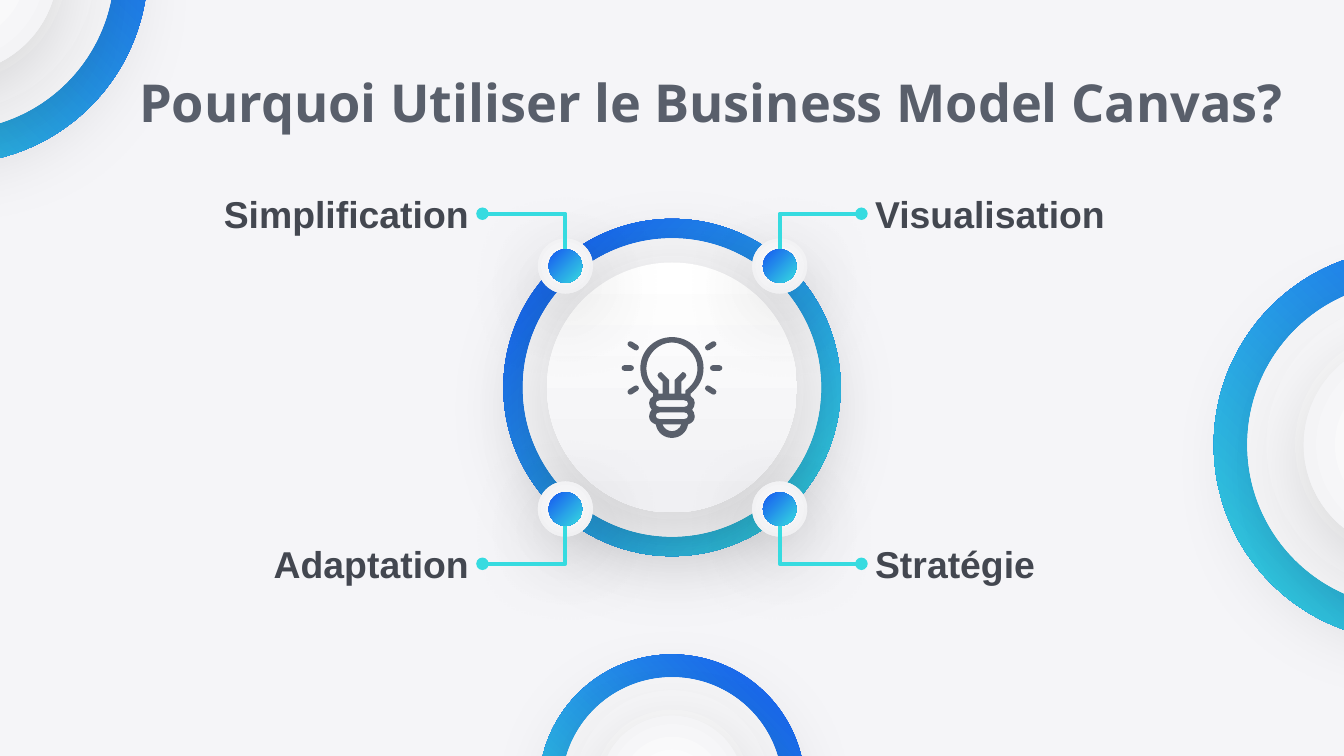
from math import atan2, cos, sin

from lxml import etree
from pptx import Presentation
from pptx.dml.color import RGBColor
from pptx.enum.shapes import MSO_CONNECTOR, MSO_SHAPE
from pptx.enum.text import MSO_ANCHOR, PP_ALIGN
from pptx.oxml import parse_xml
from pptx.oxml.ns import nsdecls, qn
from pptx.util import Pt

HEX = {"back": "F5F5F8", "blue": "1658F1", "cyan": "36DBE0", "white": "FFFFFF",
       "pale": "F0F0F3", "slate": "595F6B", "ink": "434750"}
RGB = {name: RGBColor.from_string(code) for name, code in HEX.items()}
NS = nsdecls("a")

deck = Presentation()
deck.slide_width, deck.slide_height = Pt(720), Pt(405)
slide = deck.slides.add_slide(deck.slide_layouts[6])
slide.background.fill.solid()
slide.background.fill.fore_color.rgb = RGB["back"]
shapes = slide.shapes


def write(text, left, top, width, height=29.5, size=20, font="Arial",
          color="ink", align=PP_ALIGN.LEFT):
    frame = shapes.add_textbox(Pt(left), Pt(top), Pt(width), Pt(height)).text_frame
    frame.word_wrap = True
    frame.vertical_anchor = MSO_ANCHOR.MIDDLE
    frame.margin_left = frame.margin_right = Pt(7.2)
    frame.margin_top = frame.margin_bottom = Pt(7.2)
    para = frame.paragraphs[0]
    para.alignment = align
    run = para.add_run()
    run.text = text
    run.font.size, run.font.name, run.font.bold = Pt(size), font, True
    run.font.color.rgb = RGB[color]


def disc(x, y, size, colors, angle=45, radial=False, shade=True, turn=0):
    """Draw a gradient circle centred at x, y."""
    oval = shapes.add_shape(MSO_SHAPE.OVAL, Pt(x - size / 2), Pt(y - size / 2),
                            Pt(size), Pt(size))
    oval.rotation = turn
    oval.line.fill.background()
    oval.fill.gradient()
    oval.fill.gradient_angle = 360 - angle
    for stop, color in zip(oval.fill.gradient_stops, colors):
        stop.color.rgb = RGB[color]
    oval.shadow.inherit = False
    props = oval.element.spPr
    if radial:
        grad = props.find(qn("a:gradFill"))
        grad.remove(grad.find(qn("a:lin")))
        grad.append(parse_xml(
            f'<a:path {NS} path="circle"><a:fillToRect l="50000" t="50000" '
            'r="50000" b="50000"/></a:path>'))
    if shade:
        props.find(qn("a:effectLst")).append(parse_xml(
            f'<a:outerShdw {NS} blurRad="{Pt(45)}" dist="{Pt(11.2)}" dir="5100000" '
            'algn="t" rotWithShape="0"><a:srgbClr val="000000">'
            '<a:alpha val="15000"/></a:srgbClr></a:outerShdw>'))


vivid, soft = ("blue", "cyan"), ("white", "pale")

# Rings at the slide edges
for x, y, sizes in [(-25.9, -17.3, (210.2, 174.2, 113.8)),
                    (755.3, 238.3, (210.2, 174.2, 113.8)),
                    (360, 421.9, (142.6, 118.1, 77))]:
    disc(x, y, sizes[0], vivid, shade=False, turn=90)
    for size in sizes[1:]:
        disc(x, y, size, soft, radial=True, turn=90)

# Title
write("Pourquoi Utiliser le Business Model Canvas?", 32.2, 39.6, 697, size=28,
      font="Open Sans", color="slate", align=PP_ALIGN.CENTER)

# Central ring
mid, hub = 360, 207.6
disc(mid, hub, 180.7, vivid, shade=False)
disc(mid, hub, 159.8, soft, radial=True)
disc(mid, hub, 133.9, soft, angle=90)

# Dots on the ring
axis = 360.3
for side in (1, -1):
    for down in (-1, 1):
        x, y = axis + 57.4 * side, hub + 65.1 * down
        disc(x, y, 29.5, soft, radial=True)
        disc(x, y, 18, vivid)

# Bulb: right halves in 1/100 inch; six numbers make a curve, two a line
halves = [
    [(0, 0), (13, 0, 23.5, 10, 23.5, 23), (23.5, 31, 20, 37, 14, 42), (14, 44),
     (16, 45, 17, 47, 17, 49), (17, 51, 16, 53, 15, 54), (16, 55, 17, 57, 17, 59),
     (17, 62, 15, 64, 12, 65), (11, 71, 6, 75, 0, 75)],
    [(0, 4), (10, 4, 19, 13, 19, 23), (19, 30, 16, 35, 11, 39),
     (10, 39, 10, 40, 10, 41), (10, 42), (7, 42), (7, 33), (10, 30),
     (11, 29, 11, 28, 10, 27), (10, 27, 9, 26, 8, 26), (7, 27), (3, 31), (2, 32),
     (2, 42)],
    [(7, 65), (6, 68, 3, 70, 0, 70)],
]
for top in (47, 56):
    halves.append([(9, top), (11, top, 12, top + 1, 12, top + 2.5),
                   (12, top + 4, 11, top + 5, 9, top + 5)])
bulb = []
for half in halves:
    dots = [(step[i], step[i + 1]) for step in half for i in range(0, len(step), 2)]
    kinds = [len(step) // 2 for step in half[1:]]
    back = [(-x, y) for x, y in reversed(dots)]
    if dots[-1][0] == 0:
        bulb.append((dots + back[1:], kinds + kinds[::-1]))
    else:
        bulb.append((dots + back, kinds + [1] + kinds[::-1]))

# Rays: round-ended bars on both sides
cap = [(0, -1), (0.55, -1), (1, -0.55), (1, 0), (1, 0.55), (0.55, 1), (0, 1)]
icon = [bulb]
for side in (-1, 1):
    for near, far in [((26.7, 7.9), (31, 5.2)), ((30.4, 23), (35.4, 23)),
                      ((26.7, 38.1), (31, 40.8))]:
        lean = atan2(far[1] - near[1], far[0] - near[0])
        c, s = 2.1 * cos(lean), 2.1 * sin(lean)
        dots = [(side * (x + way * (u * c - v * s)), y + way * (u * s + v * c))
                for (x, y), way in ((far, 1), (near, -1)) for u, v in cap]
        icon.append([(dots, [3, 3, 1, 3, 3])])

group = shapes.add_group_shape().shapes
for part in icon:
    pen = None
    for dots, kinds in part:
        spots = [(Pt(mid + 0.72 * x), Pt(180.6 + 0.72 * y)) for x, y in dots]
        if pen is None:
            pen = group.build_freeform(*spots[0])
        else:
            pen.move_to(*spots[0])
        pen.add_line_segments(spots[1:], close=True)
    form = pen.convert_to_shape()
    form.fill.solid()
    form.fill.fore_color.rgb = RGB["slate"]
    form.line.fill.background()
    form.shadow.inherit = False
    # Merge each run of three points into one curve
    steps = iter(list(form.element.spPr.iter(qn("a:lnTo"))))
    for kind in [kind for dots, kinds in part for kind in kinds]:
        first = next(steps)
        if kind == 3:
            curve = etree.Element(qn("a:cubicBezTo"))
            first.addprevious(curve)
            for node in (first, next(steps), next(steps)):
                curve.append(node[0])
                node.getparent().remove(node)

# Labels and their bent lines
for text, side, down in [("Simplification", -1, -1), ("Visualisation", 1, -1),
                         ("Adaptation", -1, 1), ("Stratégie", 1, 1)]:
    y = 208.3 + 93.8 * down
    left = 461.7 if side > 0 else 56
    write(text, left, y - 14.7, 202.3,
          align=PP_ALIGN.LEFT if side > 0 else PP_ALIGN.RIGHT)
    line = shapes.add_connector(
        MSO_CONNECTOR.ELBOW, Pt(mid + 101.5 * side), Pt(y),
        Pt(axis + 57.4 * side), Pt(hub + 74.2 * down))
    line.line.color.rgb = RGB["cyan"]
    line.line.width = Pt(2.25)
    props = line.element.spPr
    props.find(qn("a:prstGeom")).set("prst", "bentConnector2")
    props.find(qn("a:ln")).append(parse_xml(f'<a:headEnd {NS} type="oval"/>'))
    props.append(parse_xml(f"<a:effectLst {NS}/>"))

deck.save("out.pptx")
